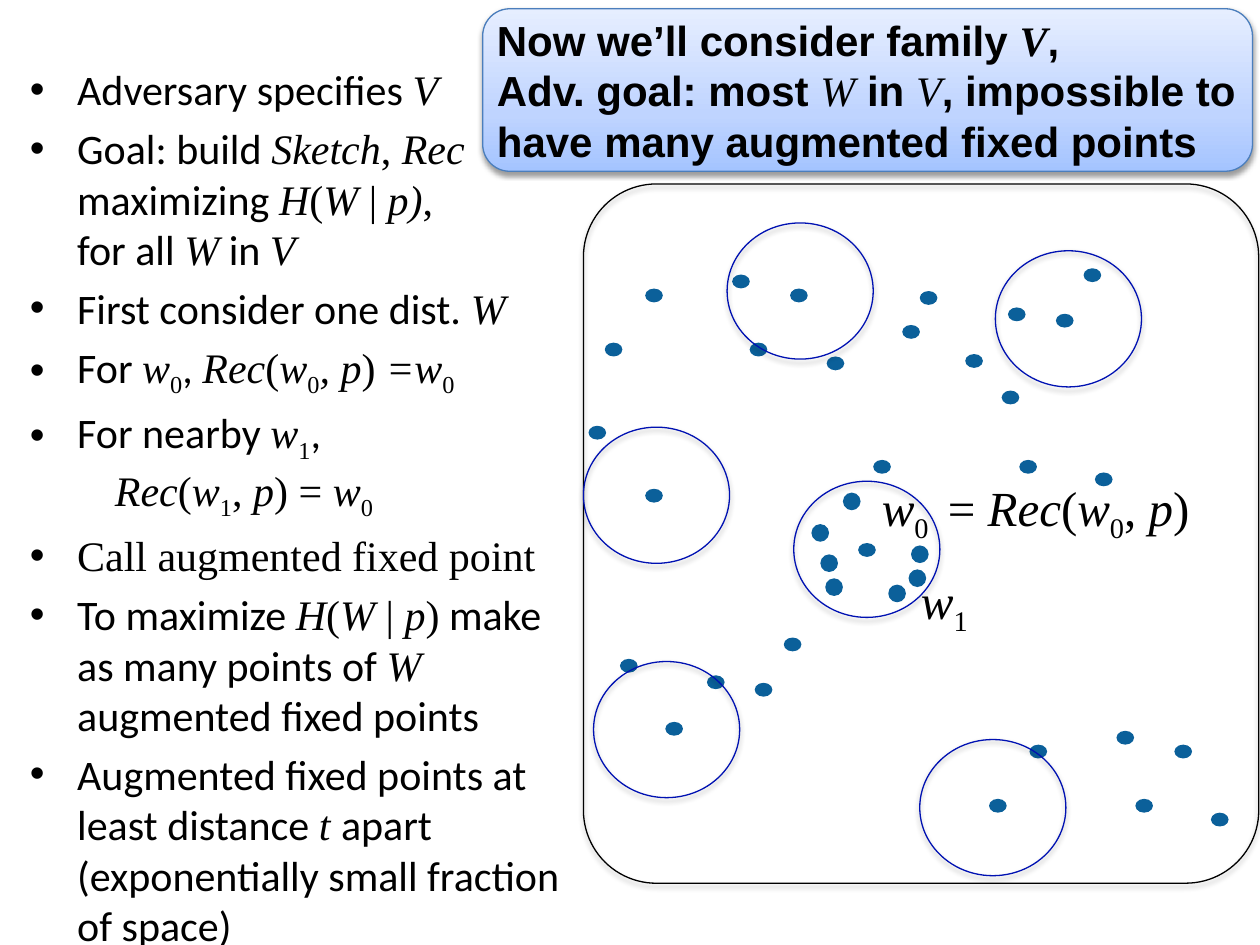
from copy import deepcopy

from lxml import etree
from pptx import Presentation
from pptx.dml.color import RGBColor
from pptx.enum.shapes import MSO_SHAPE
from pptx.enum.text import MSO_ANCHOR, PP_ALIGN
from pptx.oxml.ns import qn
from pptx.util import Pt

OVAL = MSO_SHAPE.OVAL
ROUNDED = MSO_SHAPE.ROUNDED_RECTANGLE
TOP, MIDDLE = MSO_ANCHOR.TOP, MSO_ANCHOR.MIDDLE
LEFT = PP_ALIGN.LEFT

BLACK = RGBColor(0x00, 0x00, 0x00)
POINT_BLUE = RGBColor(0x0B, 0x60, 0x9A)
BALL_BLUE = RGBColor(0x00, 0x11, 0xB2)
BANNER_LINE = RGBColor(0x4B, 0x7E, 0xBC)
BANNER_DARK = RGBColor(0xA4, 0xC4, 0xFF)
BANNER_MIDDLE = RGBColor(0xBF, 0xD4, 0xFF)
BANNER_LIGHT = RGBColor(0xE6, 0xEE, 0xFF)

# Run styles: font name, italic, bold, subscript
PLAIN = ("Calibri", False, False, False)
ROMAN = ("Times New Roman", False, False, False)
MATH = ("Times New Roman", True, False, False)
SUB = ("Times New Roman", False, False, True)
HEAVY = ("Arial", False, True, False)
HEAVY_MATH = ("Times New Roman", True, True, False)
BREAK = (None, "")

W0 = [(MATH, "w"), (SUB, "0")]
W1 = [(MATH, "w"), (SUB, "1")]
OPEN, CLOSE, COMMA = (ROMAN, "("), (ROMAN, ")"), (ROMAN, ", ")

BULLETS = [
    [(PLAIN, "Adversary specifies "), (MATH, "V")],
    [(PLAIN, "Goal: build "), (MATH, "Sketch"), (ROMAN, ","), (MATH, " Rec"),
     (PLAIN, " maximizing "), (MATH, "H"), OPEN, (MATH, "W"), (ROMAN, " | "),
     (MATH, "p)"), (ROMAN, ","), BREAK,
     (PLAIN, "for all "), (MATH, "W"), (PLAIN, " in "), (MATH, "V")],
    [(PLAIN, "First consider one dist. "), (MATH, "W")],
    [(PLAIN, "For "), *W0, (PLAIN, ", "), (MATH, "Rec"), OPEN, *W0,
     (MATH, ", p"), CLOSE, (MATH, " ="), *W0],
    [(PLAIN, "For nearby "), *W1, (PLAIN, ",")],
    [(MATH, "Rec"), OPEN, *W1, COMMA, (MATH, "p"), (ROMAN, ") = "), *W0],
    [(ROMAN, "Call augmented fixed point")],
    [(PLAIN, "To maximize "), (MATH, "H"), OPEN, (MATH, "W "), (ROMAN, "| "),
     (MATH, "p"), CLOSE, (PLAIN, " make as many points of "), (MATH, "W"),
     (PLAIN, " augmented fixed points")],
    [(PLAIN, "Augmented fixed points at least distance "), (MATH, "t "),
     (PLAIN, "apart (exponentially small fraction of space)")],
]
CONTINUATION = 5  # the equation that goes on below its bullet

BANNER = [
    (HEAVY, "Now we’ll consider family "), (HEAVY_MATH, "V"), (HEAVY, ","), BREAK,
    (HEAVY, "Adv. goal: most "), (MATH, "W"), (HEAVY, " in "), (MATH, "V"),
    (HEAVY, ", impossible to have many augmented fixed points"),
]

# Left and top offsets within the field
POINTS = [
    (157, 205.2), (165.6, 157.7), (239, 118.1), (292.3, 164.9), (249.1, 157.7),
    (2.9, 138.2), (12.2, 90.7), (118.1, 59.8), (46.8, 307.4), (20.9, 271.4),
    (85, 51.8), (139, 98.6), (70.6, 280.8), (114.5, 259.2), (95, 90.7),
    (35.3, 174.2), (97.9, 285.1), (35.3, 59.8), (218.2, 97.2), (192.2, 61.2),
    (242.6, 70.6), (285.8, 48.2), (182.2, 80.6), (270, 74.2), (231.8, 351.4),
    (337.7, 320.4), (304.6, 312.5), (358.6, 359.3), (315.4, 351.4), (254.9, 320.4),
]
NEARBY_POINTS = [
    (174.2, 229), (130.3, 194.4), (148.3, 176.4), (138.2, 225.4),
    (135.4, 211.7), (185.8, 220.3), (187.2, 206.6),
]
BALLS = [
    (120.2, 169.9), (192.2, 317.5), (82.1, 22.3),
    (0, 139), (235.4, 38.2), (5.8, 272.9),
]
LABELS = [
    (163.4, 164.2, 206.6, [(MATH, "w"), (SUB, "0 "), (ROMAN, " = "), (MATH, "Rec"),
                           OPEN, *W0, COMMA, (MATH, "p"), CLOSE]),
    (185.8, 217.4, 46.1, W1),
]


def write_runs(paragraph, runs, size):
    paragraph.alignment = LEFT
    for style, text in runs:
        if style is None:
            paragraph.add_line_break()
            continue
        run = paragraph.add_run()
        run.text = text
        font = run.font
        font.name, font.italic, font.bold, subscript = style
        font.size = Pt(size)
        font.color.rgb = BLACK
        if subscript:
            run._r.get_or_add_rPr().set("baseline", "-25000")


def add_form(shapes, kind, left, top, width, height, fill=None, line=None):
    shape = shapes.add_shape(kind, Pt(left), Pt(top), Pt(width), Pt(height))
    shape.shadow.inherit = False
    if fill is None:
        shape.fill.background()
    else:
        shape.fill.solid()
        shape.fill.fore_color.rgb = fill
    if line is None:
        shape.line.fill.background()
    else:
        shape.line.color.rgb = line
        shape.line.width = Pt(0.75)
    return shape


def add_shadow(shape, opacity, distance):
    effects = shape._element.spPr.find(qn("a:effectLst"))
    shadow = etree.SubElement(
        effects, qn("a:outerShdw"), blurRad=str(Pt(3.1)), dist=str(Pt(distance)),
        dir="5400000", rotWithShape="0")
    color = etree.SubElement(shadow, qn("a:srgbClr"), val=str(BLACK))
    etree.SubElement(color, qn("a:alpha"), val=str(opacity * 1000))


def add_bullet_list(slide, left, top, width, height):
    box = slide.shapes.add_textbox(Pt(left), Pt(top), Pt(width), Pt(height))
    frame = box.text_frame
    frame.word_wrap = True
    frame.vertical_anchor = TOP
    for index, runs in enumerate(BULLETS):
        paragraph = frame.add_paragraph() if index else frame.paragraphs[0]
        properties = paragraph._p.get_or_add_pPr()
        if index == CONTINUATION:
            properties.set("marL", str(Pt(48.6)))
        else:
            properties.set("marL", str(Pt(27)))
            properties.set("indent", str(-Pt(27)))
            etree.SubElement(properties, qn("a:buFont"), typeface="Arial")
            etree.SubElement(properties, qn("a:buChar"), char="•")
            if index:
                paragraph.space_before = Pt(4.8)
        write_runs(paragraph, runs, 24)


def add_field(slide, left, top, width, height):
    """The space of points, with the balls around augmented fixed points."""
    shapes = slide.shapes
    group = shapes.add_group_shape()
    for x, y in POINTS:
        add_form(group.shapes, OVAL, left + x, top + y, 10.1, 7.9, fill=POINT_BLUE)
    frame = add_form(shapes, ROUNDED, left, top, width, height, line=BLACK)
    frame.adjustments[0] = 0.108
    add_shadow(frame, 35, 1.8)
    for x, y, label_width, runs in LABELS:
        label = shapes.add_textbox(Pt(left + x), Pt(top + y), Pt(label_width), Pt(41))
        label.text_frame.word_wrap = False
        write_runs(label.text_frame.paragraphs[0], runs, 28)
    for x, y in NEARBY_POINTS:
        add_form(shapes, OVAL, left + x, top + y, 10.1, 10.1, fill=POINT_BLUE)
    for x, y in BALLS:
        ball = add_form(shapes, OVAL, left + x, top + y, 83.5, 77.8, line=BALL_BLUE)
        add_shadow(ball, 35, 1.8)


def add_banner(slide, left, top, width, height):
    banner = add_form(slide.shapes, ROUNDED, left, top, width, height, line=BANNER_LINE)
    banner.adjustments[0] = 0.167
    add_shadow(banner, 38, 1.6)
    fill = banner.fill
    fill.gradient()
    fill.gradient_angle = 90
    first_stop = banner._element.spPr.find(".//" + qn("a:gs"))
    middle_stop = deepcopy(first_stop)
    first_stop.addnext(middle_stop)
    colors = (BANNER_DARK, BANNER_MIDDLE, BANNER_LIGHT)
    for stop, color, position in zip(fill.gradient_stops, colors, (0, 0.35, 1)):
        stop.color.rgb = color
        stop.position = position
    frame = banner.text_frame
    frame.word_wrap = True
    frame.vertical_anchor = MIDDLE
    frame.margin_left = frame.margin_right = Pt(3.6)
    frame.margin_top = frame.margin_bottom = Pt(3.6)
    write_runs(frame.paragraphs[0], BANNER, 24)


def main():
    presentation = Presentation()
    presentation.slide_width, presentation.slide_height = Pt(720), Pt(540)
    slide = presentation.slides.add_slide(presentation.slide_layouts[6])
    add_bullet_list(slide, 10, 33, 323.3, 484.6)
    add_field(slide, 333.4, 105.1, 385.9, 399.6)
    add_banner(slide, 275.8, 5, 439.9, 92.9)
    presentation.save("out.pptx")


if __name__ == "__main__":
    main()
